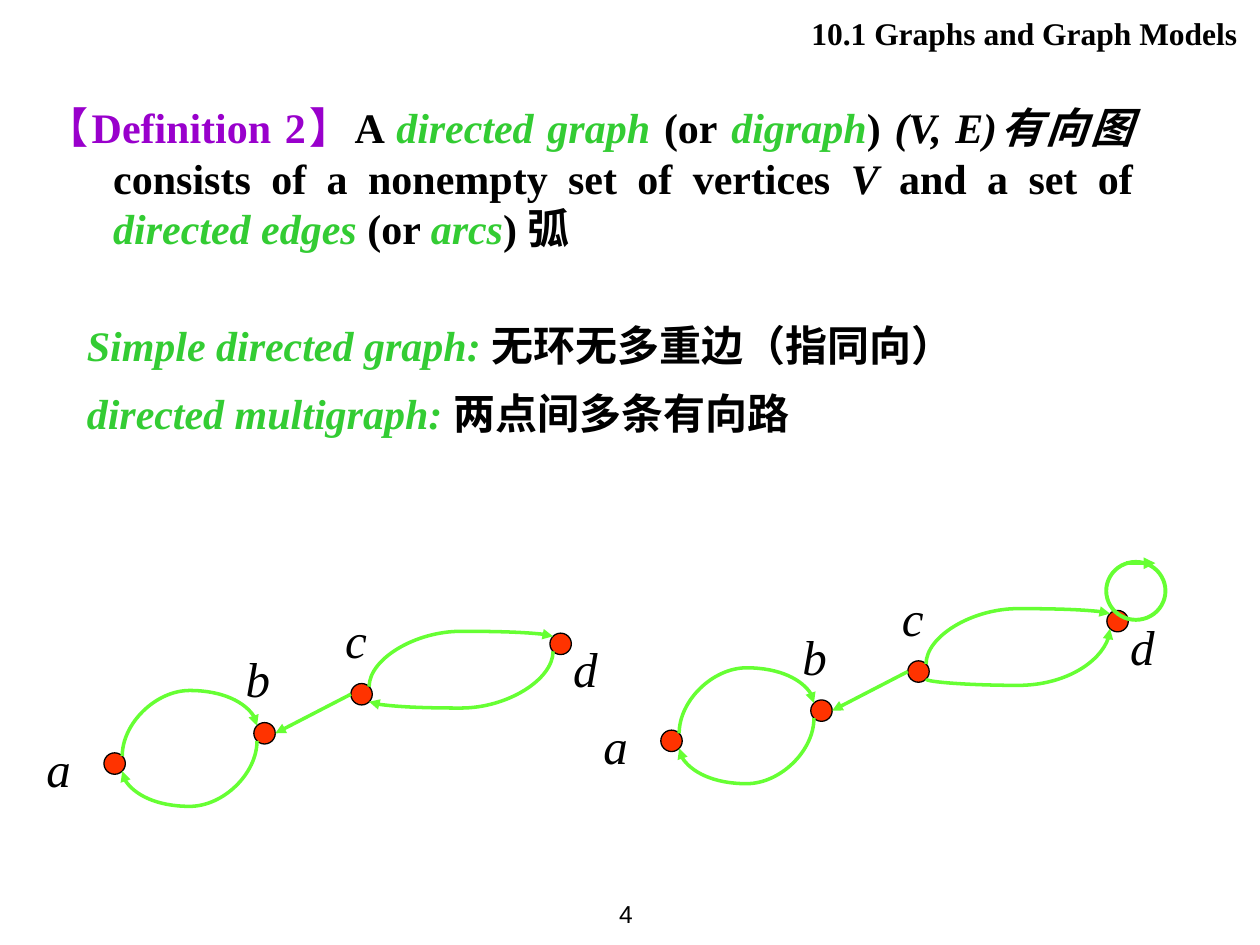
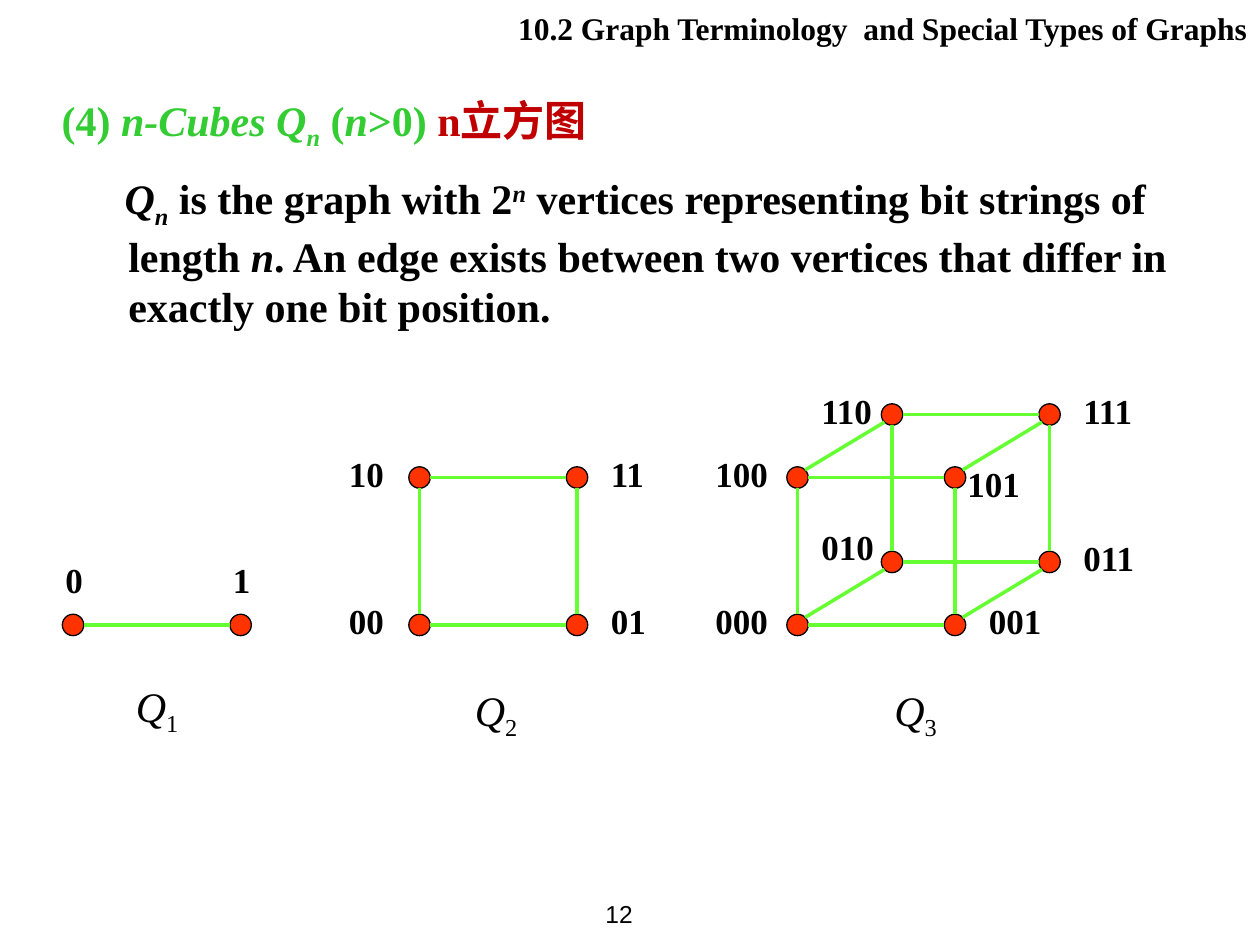
from dataclasses import dataclass
from itertools import combinations, product
from math import hypot

from lxml.etree import SubElement
from pptx import Presentation
from pptx.dml.color import RGBColor
from pptx.enum.shapes import MSO_CONNECTOR as CONN, MSO_SHAPE as SHAPE
from pptx.enum.text import MSO_ANCHOR as ANCHOR, PP_ALIGN as ALIGN
from pptx.oxml.ns import qn
from pptx.util import Inches, Pt


@dataclass(frozen=True)
class Theme:
    """Colours, fonts and sizes shared by the slides."""

    black: str = "000000"
    term: str = "33CC33"
    definition: str = "9900CC"
    accent: str = "C00000"
    vertex: str = "FF3300"
    edge: str = "66FF33"
    serif: str = "Times New Roman"
    sans: str = "Arial"
    cjk: str = "Noto Sans CJK SC"
    header: int = 18
    body: int = 24
    node: int = 28
    bits: int = 20
    number: int = 14
    edge_width: float = 2
    loop_width: float = 2.25
    radius: float = 0.085


T = Theme()
ITALIC = {"italic": True}
TERM = {"italic": True, "color": T.term}
GREEN = {"color": T.term}
SUB = {"baseline": -25}
HANGING = {"left": 0.53, "first": -0.53}


def add_run(p, text, size=T.body, color=T.black, name=T.serif, bold=False, italic=False, baseline=0):
    """Add a formatted run to a paragraph."""
    r = p.add_run()
    r.text = text
    r.font.color.rgb = RGBColor.from_string(color)
    for key, value in {"size": Pt(size), "bold": bold, "italic": italic, "name": name}.items():
        setattr(r.font, key, value)
    rPr = r.font._element if hasattr(r.font, "_element") else r._r.get_or_add_rPr()
    if baseline:
        rPr.set("baseline", str(baseline * 1000))
    SubElement(rPr, qn("a:ea")).set("typeface", T.cjk)


def add_text(shapes, box, paragraphs, align=ALIGN.LEFT, anchor=ANCHOR.TOP, gap=0, **base):
    """Add a text box; each paragraph is (indents, [(text, style), ...])."""
    tf = shapes.add_textbox(*map(Inches, box)).text_frame
    tf.word_wrap = True
    tf.vertical_anchor = anchor
    for i, (indent, runs) in enumerate(paragraphs):
        p = tf.add_paragraph() if i else tf.paragraphs[0]
        p.alignment = align
        if i:
            p.space_before = Pt(gap)
        if indent:
            pPr = p._p.get_or_add_pPr()
            pPr.set("marL", str(Inches(indent["left"])))
            pPr.set("indent", str(Inches(indent["first"])))
        for text, style in runs:
            add_run(p, text, **{**base, **style})


def add_label(shapes, box, text, **style):
    """Add a one-run text box."""
    add_text(shapes, box, [({}, [(text, {})])], **style)


def add_round(shapes, kind, box, line, width, fill=None):
    """Add a round shape, filled or hollow."""
    s = shapes.add_shape(kind, *map(Inches, box))
    s.shadow.inherit = False
    if fill:
        s.fill.solid()
        s.fill.fore_color.rgb = RGBColor.from_string(fill)
    else:
        s.fill.background()
    s.line.color.rgb = RGBColor.from_string(line)
    s.line.width = Pt(width)


def add_vertex(shapes, center):
    """Add a vertex dot around its centre."""
    x, y = center
    box = (x - T.radius, y - T.radius, 2 * T.radius, 2 * T.radius)
    add_round(shapes, SHAPE.FLOWCHART_CONNECTOR, box, T.black, 0.75, T.vertex)


def rim(center, ux, uy):
    """Return the point of a vertex's rim in a given direction."""
    k = T.radius / hypot(ux, uy)
    return center[0] + k * ux, center[1] + k * uy


def add_edge(shapes, start, end, kind=CONN.STRAIGHT, arrow=None, width=T.edge_width):
    """Add an edge, with an arrowhead at headEnd or tailEnd if asked."""
    s = shapes.add_connector(kind, *map(Inches, (*start, *end)))
    s.line.color.rgb = RGBColor.from_string(T.edge)
    s.line.width = Pt(width)
    spPr = s.element.spPr
    if arrow:
        SubElement(spPr.find(qn("a:ln")), qn("a:" + arrow)).set("type", "triangle")
    SubElement(spPr, qn("a:effectLst"))
    return spPr


def add_arc(shapes, start, end, bulge, turn, arrow="tailEnd"):
    """Add a curved edge that leaves and arrives vertically, bulging from its start."""
    (x1, y1), (x2, y2) = start, end
    cx, cy, w, h = (x1 + x2) / 2, (y1 + y2) / 2, abs(y2 - y1), abs(x2 - x1)
    corners = (cx - w / 2, cy - h / 2), (cx + w / 2, cy + h / 2)
    spPr = add_edge(shapes, *corners, CONN.CURVE, arrow)
    xfrm = spPr.find(qn("a:xfrm"))
    xfrm.set("rot", str(turn * 60000))
    if turn == 90 and x2 > x1:
        xfrm.set("flipH", "1")
        xfrm.set("flipV", "1")
    guide = SubElement(spPr.find(qn("a:prstGeom")).find(qn("a:avLst")), qn("a:gd"))
    guide.set("name", "adj1")
    guide.set("fmla", f"val {round(bulge / w * 100000)}")


def add_frame(prs, title, title_box, number):
    """Add a blank slide with its section header and page number."""
    shapes = prs.slides.add_slide(prs.slide_layouts[6]).shapes
    add_label(shapes, title_box, title, align=ALIGN.RIGHT, size=T.header, bold=True)
    add_label(shapes, (4.45, 7, 0.67, 0.5), number, align=ALIGN.RIGHT, anchor=ANCHOR.MIDDLE,
              size=T.number, name=T.sans)
    return shapes


def add_digraph(shapes, left, top, cd_arrow, loop=False):
    """Add the four-vertex directed graph in the box at left, top."""
    group = shapes.add_group_shape().shapes

    def at(x, y):
        return left + x, top + y

    a, b, c, d = vertices = [at(0.64, 1.27), at(1.83, 1.03), at(2.6, 0.72), at(4.18, 0.32)]
    for vertex in vertices:
        add_vertex(group, vertex)
    add_arc(group, rim(a, 1, -1), rim(b, -1, -1), 0.52, 270)
    add_arc(group, rim(b, -1, 1), rim(a, 1, 1), 0.52, 90)
    add_edge(group, rim(c, -1, 0), rim(b, 1, 0), arrow="tailEnd")
    add_arc(group, rim(c, 1, -1), rim(d, -1, -1), 0.44, 270)
    add_arc(group, rim(c, 1, 1), rim(d, -1, 1), -0.05, 90, cd_arrow)
    if loop:
        add_round(group, SHAPE.OVAL, (*at(4.09, -0.15), 0.47, 0.46), T.edge, T.loop_width)
        add_edge(group, at(4.25, -0.14), at(4.48, -0.14), arrow="tailEnd", width=T.loop_width)
    for name, spot in zip("abcd", [(0, 1.02), (1.58, 0.31), (2.37, 0), (4.18, 0.23)]):
        add_label(group, (*at(*spot), 0.42, 0.57), name, size=T.node, italic=True)


def add_cube(shapes, left, base, axes, caption, low, high, special=None):
    """Add the n-cube whose all-zero vertex is at left, base; one axis per bit."""
    n = len(axes)
    group = shapes.add_group_shape().shapes
    centers = {}
    for bits in product((0, 1), repeat=n):
        x = left + sum(bit * dx for bit, (dx, _) in zip(bits, axes))
        y = base + sum(bit * dy for bit, (_, dy) in zip(bits, axes))
        centers["".join(map(str, bits))] = x, y
    for center in centers.values():
        add_vertex(group, center)
    for u, v in combinations(centers, 2):
        changed = [i for i in range(n) if u[i] != v[i]]
        if len(changed) == 1:
            dx, dy = axes[changed[0]]
            ux, uy = (dx > 0) - (dx < 0), (dy > 0) - (dy < 0)
            add_edge(group, rim(centers[u], ux, uy), rim(centers[v], -ux, -uy))
    for bits, (x, y) in centers.items():
        dx, dy = (special or {}).get(bits, high if bits[-1] == "1" else low)
        add_label(group, (x + dx, y + dy, 0.75, 0.43), bits, size=T.bits, bold=True)
    add_text(shapes, (left + caption[0], base + caption[1], 0.75, 0.5),
             [({}, [("Q", ITALIC), (str(n), SUB)])])


def build_digraph_slide(prs):
    """Build the slide that defines directed graphs."""
    shapes = add_frame(prs, "10.1 Graphs and Graph Models", (5.63, 0.06, 4.29, 0.4), "4")
    add_text(shapes, (0.27, 0.76, 8.82, 1.31), [(HANGING, [
        ("【Definition 2】", {"color": T.definition}), ("A ", {}),
        ("directed graph ", TERM), ("(or", {}), (" digraph", TERM), (") ", {}),
        ("(V, E)有向图", ITALIC), (" consists of a nonempty set of vertices ", {}),
        ("V", ITALIC), (" and a set of ", {}), ("directed edges", TERM),
        (" (or ", {}), ("arcs", TERM), (") 弧", {}),
    ])], align=ALIGN.JUSTIFY, bold=True)
    add_text(shapes, (0.59, 2.49, 8.82, 1.07), [
        (HANGING, [("Simple directed graph: ", TERM), ("无环无多重边（指同向）", {})]),
        (HANGING, [("directed multigraph: ", TERM), ("两点间多条有向路", {})]),
    ], gap=9.6, bold=True)
    add_digraph(shapes, 0.27, 4.79, "headEnd")
    add_digraph(shapes, 4.69, 4.61, "tailEnd", loop=True)


def build_cube_slide(prs):
    """Build the slide that defines n-cubes."""
    title = "10.2 Graph Terminology  and Special Types of Graphs"
    shapes = add_frame(prs, title, (3.98, 0.02, 6.02, 0.4), "12")
    add_text(shapes, (0.39, 0.7, 9.21, 1.92), [
        (HANGING, [
            ("(4) ", GREEN), ("n-Cubes Q", TERM), ("n", {**TERM, **SUB}), (" (", GREEN),
            ("n", TERM), (">0) ", GREEN), ("n立方图", {"color": T.accent}),
        ]),
        ({"left": 0.53, "first": -0.03}, [
            ("Q", ITALIC), ("n", {**ITALIC, **SUB}), (" is the graph with 2", {}),
            ("n", {**ITALIC, "baseline": 30}),
            (" vertices representing bit strings of length ", {}), ("n", ITALIC),
            (". An edge exists between two vertices that differ in exactly one bit position.", {}),
        ]),
    ], gap=12, bold=True)
    across, up, back = (1.25, 0), (0, -1.17), (0.75, -0.5)
    base, right = 4.96, (0.17, -0.25)
    add_cube(shapes, 0.58, base, [(1.33, 0)], (0.4, 0.39), (-0.16, -0.58), (-0.16, -0.58))
    add_cube(shapes, 3.33, base, [up, across], (0.34, 0.42), (-0.66, -0.25), right)
    add_cube(shapes, 6.33, base, [up, back, across], (0.67, 0.42), (-0.75, -0.25), right,
             {"101": (0, -0.17), "010": (-0.66, -0.34), "110": (-0.66, -0.25)})


def main():
    """Build and save the presentation."""
    prs = Presentation()
    prs.slide_width, prs.slide_height = Inches(10), Inches(7.5)
    build_digraph_slide(prs)
    build_cube_slide(prs)
    prs.save("out.pptx")


if __name__ == "__main__":
    main()
